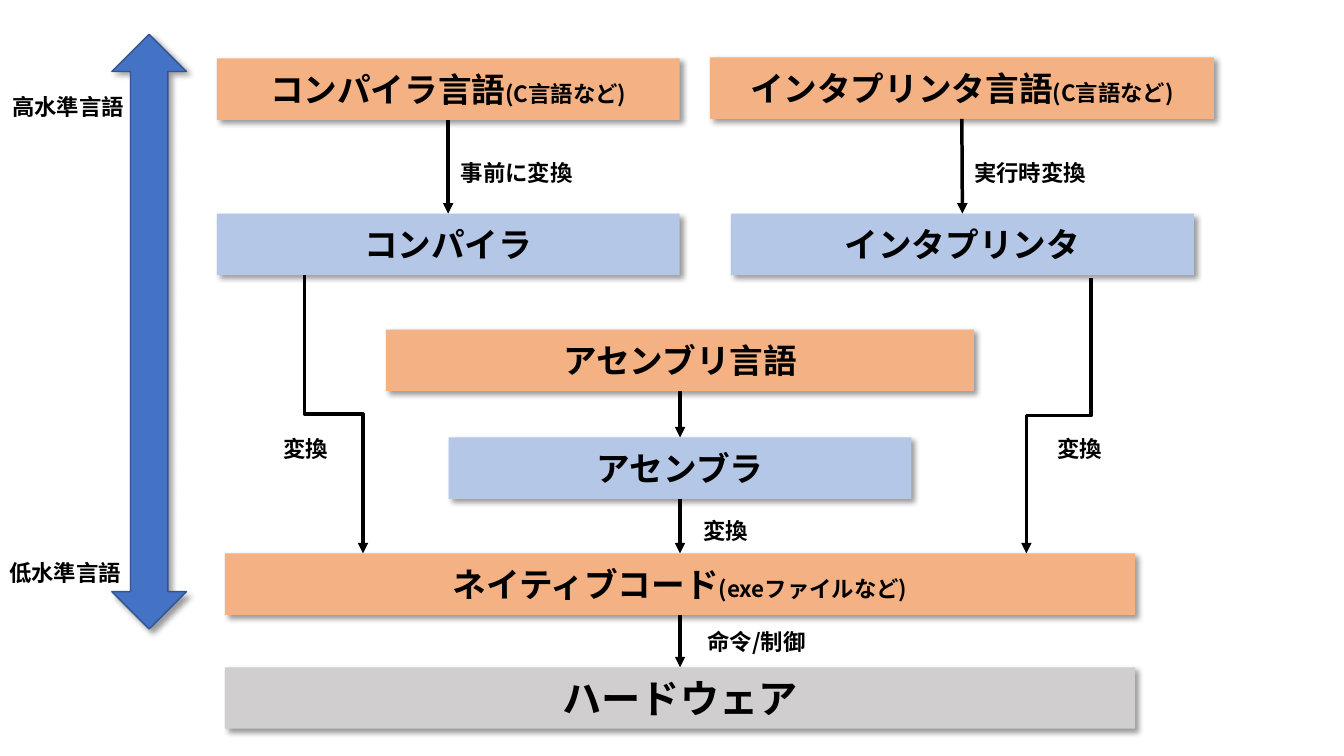
from lxml.etree import SubElement
from pptx import Presentation
from pptx.dml.color import RGBColor
from pptx.enum.shapes import MSO_CONNECTOR, MSO_SHAPE
from pptx.enum.text import MSO_ANCHOR, MSO_AUTO_SIZE, PP_ALIGN
from pptx.oxml.ns import qn
from pptx.util import Inches, Pt

THEME = {
    "font": "Noto Sans CJK JP",
    "ink": RGBColor.from_string("000000"),
    "language": RGBColor.from_string("F4B183"),
    "translator": RGBColor.from_string("B4C7E7"),
    "machine": RGBColor.from_string("D0CECE"),
    "scale": RGBColor.from_string("4472C4"),
    "scale_edge": RGBColor.from_string("325491"),
    "large": Pt(28),
    "title": Pt(24),
    "small": Pt(16),
    "flow": Pt(2.5),
}


def write(frame, text, *, size=THEME["small"], detail=""):
    frame.word_wrap = True
    paragraph = frame.paragraphs[0]
    paragraph.alignment = PP_ALIGN.CENTER
    for part, part_size in ((text, size), (detail, THEME["small"])):
        if part:
            run = paragraph.add_run()
            run.text = part
            run.font.size = part_size
            run.font.bold = True
            run.font.name = THEME["font"]
            run.font.color.rgb = THEME["ink"]
            SubElement(run.font._element, qn("a:ea"), typeface=THEME["font"])


def cast_shadow(shape):
    shape.shadow.inherit = False
    effects = shape._element.spPr.find(qn("a:effectLst"))
    outer = SubElement(effects, qn("a:outerShdw"), blurRad=str(Pt(4)), dist=str(Pt(3)),
                       dir="2700000", algn="tl", rotWithShape="0")
    black = SubElement(outer, qn("a:srgbClr"), val="000000")
    SubElement(black, qn("a:alpha"), val="40000")


deck = Presentation()
deck.slide_width = Inches(13.33)
deck.slide_height = Inches(7.5)
slide = deck.slides.add_slide(deck.slide_layouts[6])

level_scale = slide.shapes.add_shape(
    MSO_SHAPE.UP_DOWN_ARROW, Inches(1.11), Inches(0.34), Inches(0.74), Inches(5.9))
level_scale.fill.solid()
level_scale.fill.fore_color.rgb = THEME["scale"]
level_scale.line.color.rgb = THEME["scale_edge"]
level_scale.line.width = Pt(1)
cast_shadow(level_scale)

stages = {}
for name, detail, role, size, left, top, width in (
    ("ハードウェア", "", "machine", "large", 2.23, 6.62, 9.03),
    ("ネイティブコード", "(exeファイルなど)", "language", "title", 2.23, 5.49, 9.03),
    ("コンパイラ言語", "(C言語など)", "language", "title", 2.15, 0.58, 4.59),
    ("アセンブリ言語", "", "language", "title", 3.83, 3.27, 5.83),
    ("インタプリンタ言語", "(C言語など)", "language", "title", 7.04, 0.57, 5),
    ("コンパイラ", "", "translator", "title", 2.15, 2.12, 4.59),
    ("インタプリンタ", "", "translator", "title", 7.25, 2.12, 4.59),
    ("アセンブラ", "", "translator", "title", 4.45, 4.34, 4.59),
):
    stage = slide.shapes.add_shape(
        MSO_SHAPE.RECTANGLE, Inches(left), Inches(top), Inches(width), Inches(0.61))
    stage.fill.solid()
    stage.fill.fore_color.rgb = THEME[role]
    stage.line.fill.background()
    cast_shadow(stage)
    stage.text_frame.vertical_anchor = MSO_ANCHOR.MIDDLE
    write(stage.text_frame, name, size=THEME[size], detail=detail)
    stages[name] = stage

flows = []
for source, target in (
    ("コンパイラ言語", "コンパイラ"),
    ("インタプリンタ言語", "インタプリンタ"),
    ("アセンブリ言語", "アセンブラ"),
    ("アセンブラ", "ネイティブコード"),
    ("ネイティブコード", "ハードウェア"),
):
    flow = slide.shapes.add_connector(MSO_CONNECTOR.STRAIGHT, 0, 0, 0, 0)
    flow.begin_connect(stages[source], 2)
    flow.end_connect(stages[target], 0)
    flows.append(flow)

for start_x, start_y, end_x, end_y in ((3.02, 2.73, 3.6, 5.49), (10.82, 2.76, 10.18, 5.49)):
    drop, shift = end_y - start_y, abs(end_x - start_x)
    left = (start_x + end_x - drop) / 2
    top = (start_y + end_y - shift) / 2
    flow = slide.shapes.add_connector(
        MSO_CONNECTOR.ELBOW, Inches(left), Inches(top), Inches(left + drop), Inches(top + shift))
    turn = flow._element.spPr.xfrm
    if end_x > start_x:
        turn.set("rot", str(270 * 60000))
        turn.set("flipH", "1")
    else:
        turn.set("rot", str(90 * 60000))
    flows.append(flow)

for flow in flows:
    flow.line.color.rgb = THEME["ink"]
    flow.line.width = THEME["flow"]
    SubElement(flow.line._get_or_add_ln(), qn("a:tailEnd"), type="triangle")
    SubElement(flow._element.spPr, qn("a:effectLst"))

for label, left, top, width in (
    ("高水準言語", 0, 0.88, 1.35),
    ("低水準言語", -0.03, 5.5, 1.35),
    ("命令/制御", 6.82, 6.18, 1.37),
    ("事前に変換", 4.45, 1.53, 1.35),
    ("実行時変換", 9.54, 1.53, 1.35),
    ("変換", 2.51, 4.27, 1.05),
    ("変換", 10.18, 4.27, 1.05),
    ("変換", 6.67, 5.08, 1.05),
):
    caption = slide.shapes.add_textbox(Inches(left), Inches(top), Inches(width), Inches(0.37))
    caption.text_frame.auto_size = MSO_AUTO_SIZE.SHAPE_TO_FIT_TEXT
    write(caption.text_frame, label)

deck.save("out.pptx")
